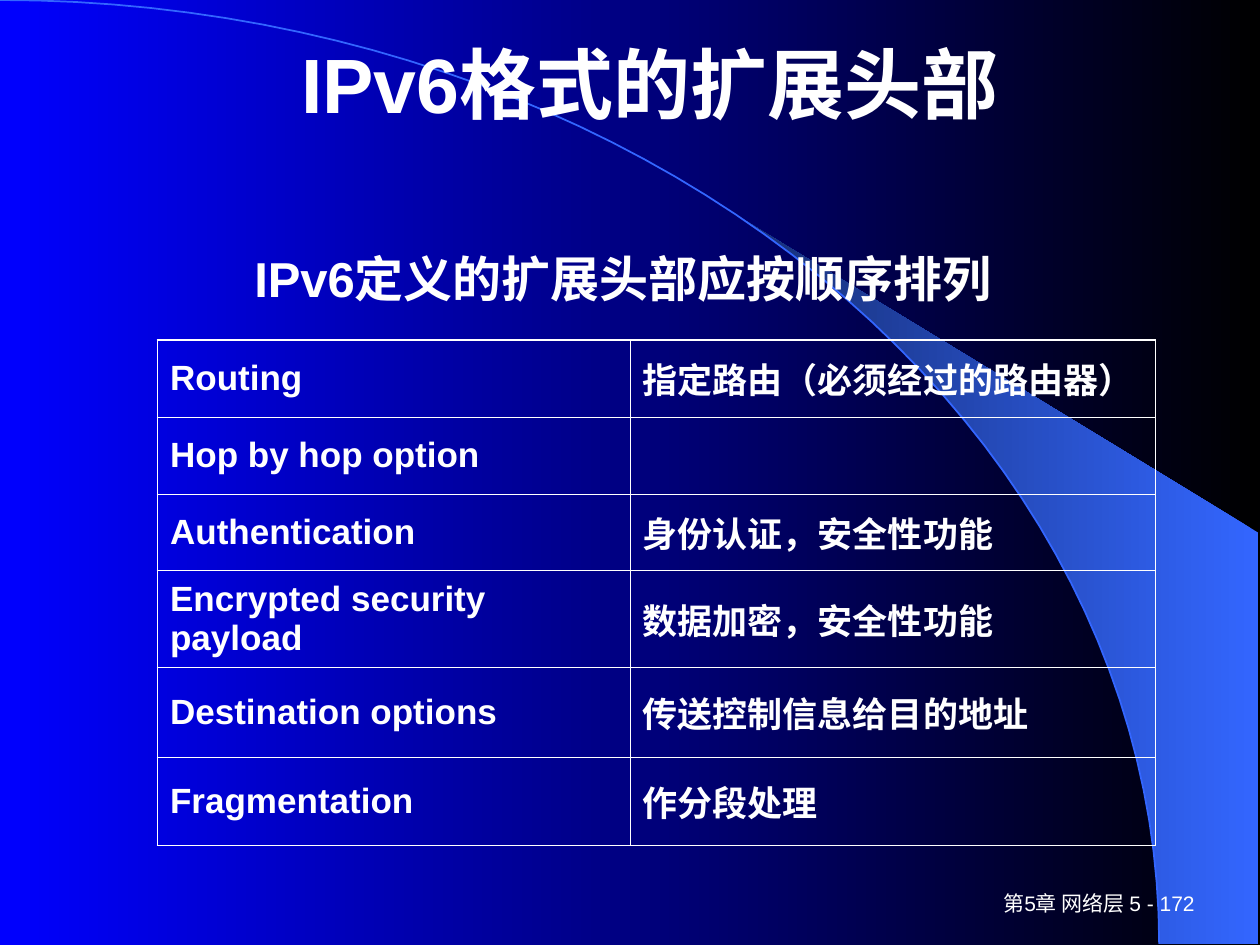
"""Build a slide that lists the IPv6 extension headers in a bordered table."""
from math import asin, cos, pi, sin
from typing import NamedTuple

from lxml.etree import SubElement as Sub
from pptx import Presentation as Deck
from pptx.dml.color import RGBColor as Rgb
from pptx.enum.text import MSO_ANCHOR as Anchor, MSO_AUTO_SIZE as Fit, PP_ALIGN as Align
from pptx.oxml.ns import qn
from pptx.util import Inches, Pt

WIDE, HIGH = Inches(10), Inches(7.5)
COLS, ROWS = 100, 75
WHITE, BLACK, BLUE, SKY, NAVY = "FFFFFF", "000000", "0000FF", "3366FF", "172F75"
FONT = "Arial"
ARC_W, ARC_H = 92, 74.9
EDGE, WEDGE = 99.9, 58.9
THICK, THIN = 1.08, 0.45
SPANS = (37.5, 41.7)
STEPS = 48


class Box(NamedTuple):
    left: float
    top: float
    wide: float
    high: float


class Style(NamedTuple):
    size: float
    bold: bool = True
    align: Align = Align.LEFT


class Item(NamedTuple):
    name: str
    use: str
    high: float


ITEMS = (
    Item("Routing", "指定路由（必须经过的路由器）", 6.1),
    Item("Hop by hop option", "", 6.1),
    Item("Authentication", "身份认证，安全性功能", 6.1),
    Item("Encrypted security payload", "数据加密，安全性功能", 7.7),
    Item("Destination options", "传送控制信息给目的地址", 7.1),
    Item("Fragmentation", "作分段处理", 7),
)


def hue(code: str) -> Rgb:
    return Rgb.from_string(code)


def across(n: float) -> int:
    return round(WIDE * n / COLS)


def down(n: float) -> int:
    return round(HIGH * n / ROWS)


def place(box: Box) -> tuple:
    return across(box.left), down(box.top), across(box.wide), down(box.high)


def write(frame, text: str, style: Style) -> None:
    para = frame.paragraphs[0]
    para.alignment = style.align
    run = para.add_run()
    run.text = text
    font = run.font
    font.name, font.size, font.bold = FONT, Pt(style.size), style.bold
    font.color.rgb = hue(WHITE)


def blend(fill, start: str, end: str) -> None:
    fill.gradient()
    fill.gradient_angle = 180
    for stop, code in zip(fill.gradient_stops, (start, end)):
        stop.color.rgb = hue(code)


def curve(start: float) -> list:
    turns = [start + (pi / 2 - start) * i / STEPS for i in range(STEPS + 1)]
    return [(across(ARC_W * sin(t)), down(ARC_H * (1 - cos(t)))) for t in turns]


def trace(slide, spots: list, close: bool):
    pen = slide.shapes.build_freeform(*spots[0])
    pen.add_line_segments(spots[1:], close=close)
    shape = pen.convert_to_shape()
    shape.shadow.inherit = False
    return shape


def sweep(slide) -> None:
    ends = [(across(EDGE), down(ARC_H)), (across(EDGE), down(42.3))]
    wedge = trace(slide, curve(asin(WEDGE / ARC_W)) + ends, True)
    blend(wedge.fill, SKY, NAVY)
    wedge.line.fill.background()
    arc = trace(slide, curve(0), False)
    arc.fill.background()
    arc.line.color.rgb = hue(SKY)
    arc.line.width = Pt(1)


def label(slide, box: Box, text: str, style: Style, anchor: Anchor) -> None:
    frame = slide.shapes.add_textbox(*place(box)).text_frame
    frame.word_wrap = True
    frame.vertical_anchor = anchor
    write(frame, text, style)


def head(slide, box: Box, text: str) -> None:
    title = slide.shapes.title
    title.left, title.top, title.width, title.height = place(box)
    frame = title.text_frame
    frame.auto_size = Fit.NONE
    frame.vertical_anchor = Anchor.MIDDLE
    write(frame, text, Style(44, align=Align.CENTER))
    slide.shapes._spTree.append(title._element)


def rule(cell, side: str, width: float) -> None:
    line = Sub(cell._tc.get_or_add_tcPr(), qn(f"a:ln{side}"), w=str(Pt(width)))
    Sub(Sub(line, qn("a:solidFill")), qn("a:srgbClr"), val=WHITE)


def grid(slide, left: float, top: float) -> None:
    box = Box(left, top, sum(SPANS), sum(item.high for item in ITEMS))
    table = slide.shapes.add_table(len(ITEMS), len(SPANS), *place(box)).table
    table.first_row = table.horz_banding = False
    for col, span in zip(table.columns, SPANS):
        col.width = across(span)
    for r, item in enumerate(ITEMS):
        table.rows[r].height = down(item.high)
        for c, text in enumerate((item.name, item.use)):
            cell = table.cell(r, c)
            outer = {"L": c == 0, "R": c == len(SPANS) - 1,
                     "T": r == 0, "B": r == len(ITEMS) - 1}
            for side, edge in outer.items():
                rule(cell, side, THICK if edge else THIN)
            cell.fill.background()
            cell.vertical_anchor = Anchor.MIDDLE
            if text:
                write(cell.text_frame, text, Style(20))


def main() -> None:
    deck = Deck()
    deck.slide_width, deck.slide_height = WIDE, HIGH
    slide = deck.slides.add_slide(deck.slide_layouts[5])
    blend(slide.background.fill, BLACK, BLUE)
    sweep(slide)
    label(slide, Box(75, 70, 20.8, 3.3), "第5章 网络层 5 - 172",
          Style(12, False, Align.RIGHT), Anchor.MIDDLE)
    head(slide, Box(9.1, 2.1, 85, 8.9), "IPv6格式的扩展头部")
    label(slide, Box(19.2, 19.2, 65, 5.7), "IPv6定义的扩展头部应按顺序排列",
          Style(28), Anchor.TOP)
    grid(slide, 12.5, 27)
    deck.save("out.pptx")


if __name__ == "__main__":
    main()
